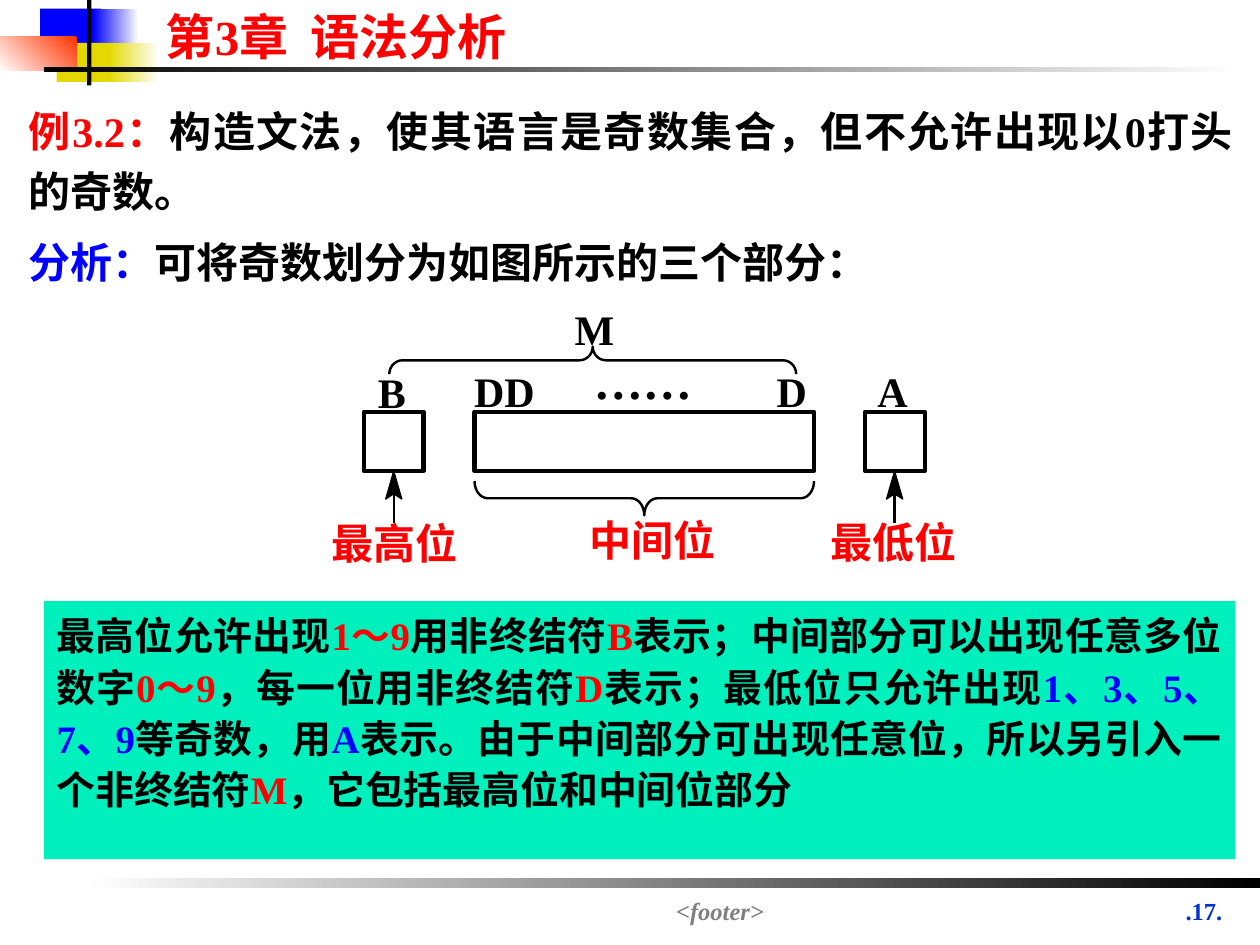
from math import cos, pi, sin

from lxml import etree
from pptx import Presentation
from pptx.dml.color import RGBColor
from pptx.enum.lang import MSO_LANGUAGE_ID
from pptx.enum.shapes import MSO_CONNECTOR, MSO_SHAPE
from pptx.enum.text import MSO_ANCHOR, PP_ALIGN
from pptx.oxml.ns import qn
from pptx.util import Pt

RECT, STRAIGHT = MSO_SHAPE.RECTANGLE, MSO_CONNECTOR.STRAIGHT
LEFT, CENTER, JUSTIFY = PP_ALIGN.LEFT, PP_ALIGN.CENTER, PP_ALIGN.JUSTIFY
TOP, CHINESE = MSO_ANCHOR.TOP, MSO_LANGUAGE_ID.SIMPLIFIED_CHINESE

THEME = {
    "font": "Times New Roman",
    "black": "000000", "white": "FFFFFF", "red": "FF0000", "blue": "0000FF",
    "yellow": "E3D801", "orange": "FF3300", "gray": "808080",
    "number": "0033CC", "panel": "00F0BD",
    "title": 28, "dots": 28, "body": 24, "note": 22.2, "small": 14,
}

# Content: each paragraph is a list of (text, colour)
TITLE = [[("第3章  语法分析", "red")]]
BODY = [
    [("例3.2：", "red"),
     ("构造文法，使其语言是奇数集合，但不允许出现以0打头的奇数。", "black")],
    [("分析：", "blue"), ("可将奇数划分为如图所示的三个部分：", "black")],
]
NOTE = [[
    ("最高位允许出现", "black"), ("1～9", "red"), ("用非终结符", "black"),
    ("B", "red"), ("表示；中间部分可以出现任意多位数字", "black"),
    ("0～9", "red"), ("，每一位用非终结符", "black"), ("D", "red"),
    ("表示；最低位只允许出现", "black"), ("1、3、5、7、9", "blue"),
    ("等奇数，用", "black"), ("A", "blue"),
    ("表示。由于中间部分可出现任意位，所以另引入一个非终结符", "black"),
    ("M", "red"), ("，它包括最高位和中间位部分", "black"),
]]
FOOTER = [[("<footer>", "gray")]]
NUMBER = [[(".17.", "number")]]

# Decoration: left, top, width, height, colours from start to end, angle
DECORATION = [
    (23, 5, 34.6, 22.3, ["blue"], 0),
    (53.3, 5, 25.9, 22.3, ["white", "blue"], 180),
    (32.4, 24.5, 33.1, 22.3, ["yellow"], 0),
    (61.9, 24.5, 28.8, 22.3, ["white", "yellow"], 180),
    (0, 21, 44, 19.6, ["orange", "white"], 225),
    (49.8, 0, 2.4, 48.8, ["black"], 0),
    (25.2, 38.4, 684.8, 2.6, ["white", "black"], 180),
    (48.2, 501.8, 671.8, 5.8, ["black", "white"], 180),
]

# Diagram: labels are text, left, top, width, colour, size
LABELS = [
    ("M", 328.4, 173.5, 23, "black", "body"),
    ("B", 216, 209.7, 16, "black", "body"),
    ("DD", 270.9, 209, 51, "black", "body"),
    ("……", 339.4, 200.3, 58, "black", "dots"),
    ("D", 443.8, 209, 17, "black", "body"),
    ("A", 501.4, 209, 17, "black", "body"),
    ("最高位", 189.5, 296, 72, "red", "body"),
    ("中间位", 336.6, 294.3, 72, "red", "body"),
    ("最低位", 474.8, 295, 72, "red", "body"),
]
CELLS = [(208, 34), (271.2, 194), (494.4, 34)]  # left, width
CELL_TOP, CELL_HEIGHT = 235.2, 34
BRACES = [(222.5, 455, 213.8, 198), (271.2, 465.2, 275, 294.5)]  # left, right, ends, tip
ARROWS = [225, 511.2]  # centre


def color(name):
    return RGBColor.from_string(THEME[name])


def style(shape, fill=None, line=None, width=1):
    shape.shadow.inherit = False
    if fill:
        shape.fill.solid()
        shape.fill.fore_color.rgb = color(fill)
    else:
        shape.fill.background()
    if line:
        shape.line.color.rgb = color(line)
        shape.line.width = Pt(width)
    else:
        shape.line.fill.background()


def add_rect(page, left, top, width, height, fill, line=None, line_width=1):
    shape = page.shapes.add_shape(RECT, Pt(left), Pt(top), Pt(width), Pt(height))
    style(shape, fill, line, line_width)
    return shape


def write(box, paragraphs, size, align=LEFT, spacing=None, inset=(7.2, 3.6),
          wrap=True, italic=False):
    frame = box.text_frame
    frame.word_wrap = wrap
    frame.vertical_anchor = TOP
    frame.margin_left = frame.margin_right = Pt(inset[0])
    frame.margin_top = frame.margin_bottom = Pt(inset[1])
    for index, spans in enumerate(paragraphs):
        para = frame.add_paragraph() if index else frame.paragraphs[0]
        para.alignment = align
        if spacing:
            para.line_spacing = spacing
        if index:
            para.space_before = Pt(6)
        para.font.name = THEME["font"]
        para.font.size = Pt(THEME[size])
        para.font.bold = True
        para.font.italic = italic
        for text, name in spans:
            span = para.add_run()
            span.text = text
            span.font.color.rgb = color(name)
            span.font.language_id = CHINESE


def add_text(page, left, top, width, height, paragraphs, size, **options):
    box = page.shapes.add_textbox(Pt(left), Pt(top), Pt(width), Pt(height))
    write(box, paragraphs, size, **options)


def add_outline(page, points, closed=False):
    corners = [(Pt(x), Pt(y)) for x, y in points]
    builder = page.shapes.build_freeform(*corners[0])
    builder.add_line_segments(corners[1:], close=closed)
    return builder.convert_to_shape()


def add_brace(page, left, right, ends, tip, radius=7.5, steps=7):
    center, shoulder = (left + right) / 2, (ends + tip) / 2
    turns = [pi / 2 * step / steps for step in range(steps + 1)]
    half = [(left + radius * (1 - cos(a)), ends + (shoulder - ends) * sin(a))
            for a in turns]
    half += [(center - radius + radius * sin(a),
              shoulder + (tip - shoulder) * (1 - cos(a))) for a in turns]
    mirrored = [(left + right - x, y) for x, y in half[-2::-1]]
    style(add_outline(page, half + mirrored), line="black", width=1.39)


def add_arrow(page, center, tip=269.2, tail=298.8):
    shaft = page.shapes.add_connector(
        STRAIGHT, Pt(center), Pt(tail), Pt(center), Pt(tip + 3))
    shaft.line.color.rgb = color("black")
    shaft.line.width = Pt(1.39)
    etree.SubElement(shaft._element.spPr, qn("a:effectLst"))
    head = [(center + 4.6, tip + 16), (center, tip + 13),
            (center - 4.6, tip + 16), (center, tip)]
    style(add_outline(page, head, closed=True), "black", "black", 0.75)


def main():
    deck = Presentation()
    deck.slide_width, deck.slide_height = Pt(720), Pt(540)
    page = deck.slides.add_slide(deck.slide_layouts[6])

    # Corner blocks and rules
    for left, top, width, height, colors, angle in DECORATION:
        block = add_rect(page, left, top, width, height, colors[0])
        if len(colors) > 1:
            block.fill.gradient()
            block.fill.gradient_angle = angle
            for stop, name in zip(block.fill.gradient_stops, colors):
                stop.color.rgb = color(name)

    # Title, footer and body
    add_text(page, 658, 508.3, 60, 41, NUMBER, "small", align=CENTER)
    add_text(page, 144.7, 508.3, 533.5, 18.7, FOOTER, "small", align=CENTER, italic=True)
    add_text(page, 87.8, 0, 232.6, 41, TITLE, "title")
    add_text(page, 9.4, 51, 702, 117.4, BODY, "body", align=JUSTIFY, spacing=1.2)

    # Diagram of the three parts
    for left, width in CELLS:
        add_rect(page, left, CELL_TOP, width, CELL_HEIGHT, "white", "black", 2.38)
    for text, left, top, width, name, size in LABELS:
        add_text(page, left, top, width, THEME[size] * 1.2, [[(text, name)]], size,
                 inset=(0, 0), wrap=False)
    for brace in BRACES:
        add_brace(page, *brace)
    for center in ARROWS:
        add_arrow(page, center)

    # Explanation panel
    panel = add_rect(page, 25.2, 343.5, 680.4, 147.5, "panel")
    write(panel, NOTE, "note", align=JUSTIFY, spacing=1.1)

    deck.save("out.pptx")


if __name__ == "__main__":
    main()
